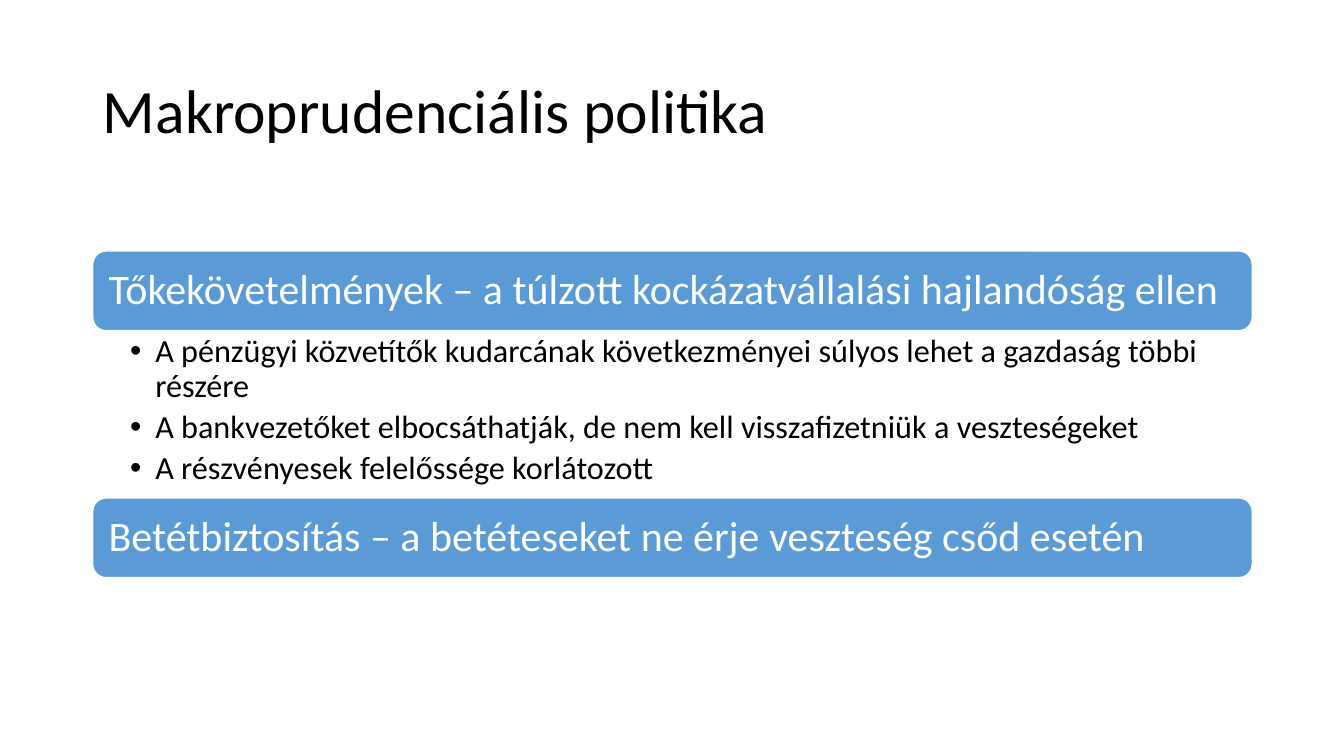
from pptx import Presentation
from pptx.dml.color import RGBColor
from pptx.enum.shapes import MSO_SHAPE
from pptx.enum.text import MSO_ANCHOR, MSO_AUTO_SIZE, PP_ALIGN
from pptx.util import Inches, Pt

ROUNDED = MSO_SHAPE.ROUNDED_RECTANGLE
MIDDLE, TOP = MSO_ANCHOR.MIDDLE, MSO_ANCHOR.TOP
NO_FIT = MSO_AUTO_SIZE.NONE
LEFT = PP_ALIGN.LEFT

BLUE = RGBColor(0x5B, 0x9B, 0xD5)
WHITE = RGBColor(0xFF, 0xFF, 0xFF)
BLACK = RGBColor(0x00, 0x00, 0x00)
FONT = "Calibri"

MARGIN, CONTENT_W = 0.92, 11.5
BAR_H, LIST_H = 0.79, 1.66
BARS_TOP = 2.49

TITLE = "Makroprudenciális politika"
CAPITAL = "Tőkekövetelmények – a túlzott kockázatvállalási hajlandóság ellen"
REASONS = [
    "A pénzügyi közvetítők kudarcának következményei súlyos lehet a gazdaság többi részére",
    "A bankvezetőket elbocsáthatják, de nem kell visszafizetniük a veszteségeket",
    "A részvényesek felelőssége korlátozott",
]
DEPOSITS = "Betétbiztosítás – a betéteseket ne érje veszteség csőd esetén"


def place(sp, left, top, width, height):
    sp.left, sp.top = Inches(left), Inches(top)
    sp.width, sp.height = Inches(width), Inches(height)


def format_text(tf, size, color, anchor, insets, space_after=0):
    tf.word_wrap = True
    tf.auto_size = NO_FIT
    tf.vertical_anchor = anchor
    tf.margin_left, tf.margin_top, tf.margin_right, tf.margin_bottom = map(Inches, insets)
    for p in tf.paragraphs:
        p.alignment = LEFT
        p.line_spacing = 0.9
        p.space_before = Pt(0)
        p.space_after = Pt(space_after)
        for r in p.runs:
            r.font.name = FONT
            r.font.size = Pt(size)
            r.font.color.rgb = color


def add_title(s, left, top, width, height):
    sp = s.shapes.title
    place(sp, left, top, width, height)
    sp.text_frame.text = TITLE
    format_text(sp.text_frame, 44, BLACK, MIDDLE, (0.1, 0.05, 0.1, 0.05))


def add_bar(s, text, left, top, width, height):
    sp = s.shapes.add_shape(ROUNDED, Inches(left), Inches(top), Inches(width), Inches(height))
    sp.shadow.inherit = False
    sp.fill.solid()
    sp.fill.fore_color.rgb = BLUE
    sp.line.color.rgb = WHITE
    sp.line.width = Pt(1)
    sp.text_frame.text = text
    format_text(sp.text_frame, 30, WHITE, MIDDLE, (0.12, 0.12, 0.12, 0.12))


def add_reasons(s, left, top, width, height):
    sp = s.placeholders[1]
    place(sp, left, top, width, height)
    tf = sp.text_frame
    tf.text = "\n".join(REASONS)
    format_text(tf, 23, BLACK, TOP, (0.37, 0.04, 0.23, 0.04), 4.6)
    for p in tf.paragraphs:
        pPr = p._p.get_or_add_pPr()
        pPr.set("marL", str(Inches(0.25)))
        pPr.set("indent", str(Inches(-0.25)))


def main():
    prs = Presentation()
    prs.slide_width, prs.slide_height = Inches(13.33), Inches(7.5)
    s = prs.slides.add_slide(prs.slide_layouts[1])
    list_top = BARS_TOP + BAR_H
    add_title(s, MARGIN, 0.4, CONTENT_W, 1.45)
    add_bar(s, CAPITAL, MARGIN, BARS_TOP, CONTENT_W, BAR_H)
    add_reasons(s, MARGIN, list_top, CONTENT_W, LIST_H)
    add_bar(s, DEPOSITS, MARGIN, list_top + LIST_H, CONTENT_W, BAR_H)
    prs.save("out.pptx")


if __name__ == "__main__":
    main()
